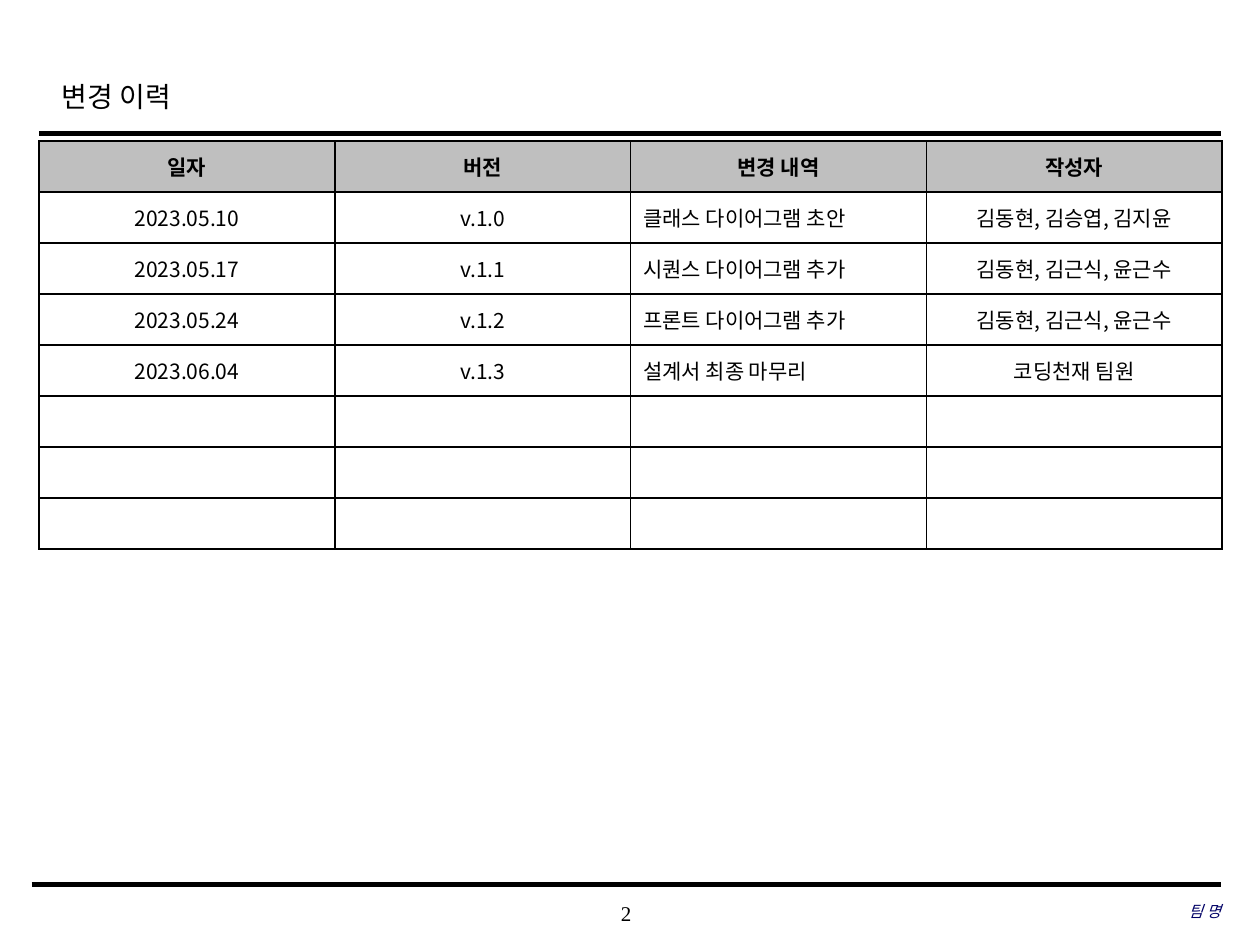
from lxml import etree
from pptx import Presentation
from pptx.dml.color import RGBColor
from pptx.enum.shapes import MSO_CONNECTOR
from pptx.enum.text import MSO_ANCHOR, PP_ALIGN
from pptx.oxml.ns import qn
from pptx.util import Inches, Pt

HUES = {"ink": "000000", "head": "BFBFBF", "cell": "FFFFFF", "team": "000066"}
SERIF, SANS = "Times New Roman", "Noto Sans CJK KR"
ROWS = [
    ["일자", "버전", "변경 내역", "작성자"],
    ["2023.05.10", "v.1.0", "클래스 다이어그램 초안", "김동현, 김승엽, 김지윤"],
    ["2023.05.17", "v.1.1", "시퀀스 다이어그램 추가", "김동현, 김근식, 윤근수"],
    ["2023.05.24", "v.1.2", "프론트 다이어그램 추가", "김동현, 김근식, 윤근수"],
    ["2023.06.04", "v.1.3", "설계서 최종 마무리", "코딩천재 팀원"],
] + [[""] * 4] * 3


def tint(name):
    return RGBColor.from_string(HUES[name])


def place(shape, box):
    shape.left, shape.top, shape.width, shape.height = map(Inches, box)


def write(frame, text, size, face, align, hue="ink", bold=False, italic=False):
    frame.text = text
    para = frame.paragraphs[0]
    para.alignment = align
    for run in para.runs:
        font = run.font
        font.size, font.name = Pt(size), face
        font.bold, font.italic = bold, italic
        font.color.rgb = tint(hue)
        # Hangul always uses the sans face
        etree.SubElement(font._element, qn("a:ea"), typeface=SANS)
    return para


def add_rule(slide, left, right, y, weight):
    ends = map(Inches, (left, y, right, y))
    rule = slide.shapes.add_connector(MSO_CONNECTOR.STRAIGHT, *ends)
    rule.line.color.rgb = tint("ink")
    rule.line.width = Pt(weight)
    etree.SubElement(rule._element.spPr, qn("a:effectLst"))


def add_title(slide, box):
    title = slide.shapes.title
    place(title, box)
    frame = title.text_frame
    frame.vertical_anchor = MSO_ANCHOR.MIDDLE
    para = write(frame, "변경 이력", 16, SERIF, PP_ALIGN.LEFT)
    para.line_spacing = 1.2


def add_label(slide, box, text, size, align, **style):
    frame = slide.shapes.add_textbox(*map(Inches, box)).text_frame
    frame.word_wrap = True
    frame.vertical_anchor = MSO_ANCHOR.MIDDLE
    frame.margin_left = frame.margin_right = 0
    frame.margin_top = frame.margin_bottom = 0
    write(frame, text, size, SERIF, align, **style)


def add_edges(cell):
    props = cell._tc.get_or_add_tcPr()
    for i, side in enumerate(("lnL", "lnR", "lnT", "lnB")):
        edge = etree.Element(qn("a:" + side), w=str(Pt(1)))
        fill = etree.SubElement(edge, qn("a:solidFill"))
        etree.SubElement(fill, qn("a:srgbClr"), val=HUES["ink"])
        props.insert(i, edge)


def add_log(slide, box):
    count = len(ROWS[0])
    shape = slide.shapes.add_table(len(ROWS), count, *map(Inches, box))
    table = shape.table
    table.horz_banding = False
    for col in table.columns:
        col.width = Inches(box[2] / count)
    for row in table.rows:
        row.height = Inches(box[3] / len(ROWS))
    for r, texts in enumerate(ROWS):
        for c, text in enumerate(texts):
            cell = table.cell(r, c)
            cell.vertical_anchor = MSO_ANCHOR.MIDDLE
            cell.fill.solid()
            cell.fill.fore_color.rgb = tint("cell" if r else "head")
            add_edges(cell)
            align = PP_ALIGN.LEFT if r and c == 2 else PP_ALIGN.CENTER
            para = write(cell.text_frame, text, 12, SANS, align, bold=r == 0)
            if not text:
                para.font.size = Pt(12)


def main():
    deck = Presentation()
    deck.slide_width, deck.slide_height = Inches(10), Inches(7.5)
    slide = deck.slides.add_slide(deck.slide_layouts[5])
    # Header
    add_title(slide, (0.39, 0.49, 7.55, 0.5))
    add_rule(slide, 0.31, 9.69, 1.06, 2.5)
    # Change log
    add_log(slide, (0.31, 1.12, 9.39, 3.24))
    # Footer
    add_rule(slide, 0.25, 9.69, 7.02, 3)
    add_label(slide, (3.93, 7.08, 2.08, 0.33), "2", 12, PP_ALIGN.CENTER)
    add_label(slide, (6.63, 7.07, 3.06, 0.33), "팀 명", 9, PP_ALIGN.RIGHT,
              hue="team", italic=True)
    deck.save("out.pptx")


if __name__ == "__main__":
    main()
